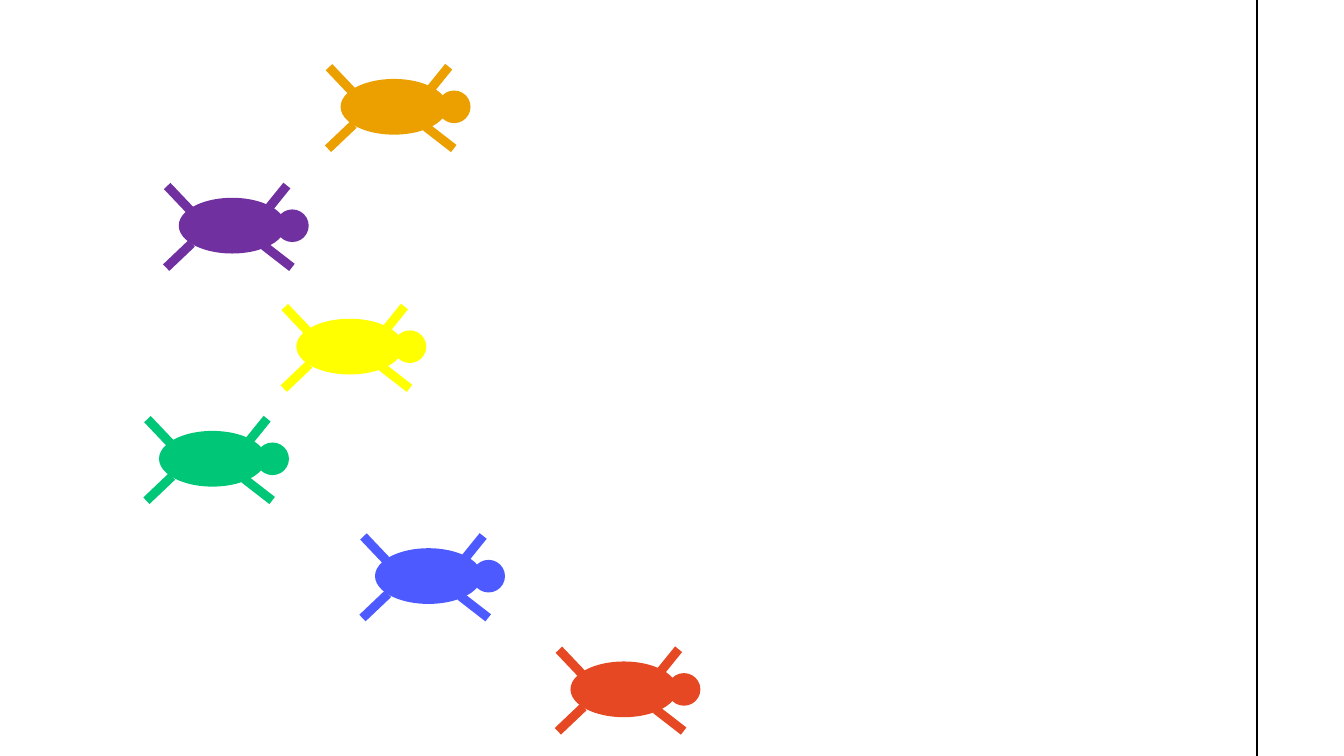
from dataclasses import dataclass

from lxml import etree
from pptx import Presentation
from pptx.dml.color import RGBColor
from pptx.enum.shapes import MSO_CONNECTOR, MSO_SHAPE
from pptx.oxml.ns import qn
from pptx.util import Pt

OVAL, RECT = MSO_SHAPE.OVAL, MSO_SHAPE.RECTANGLE
STRAIGHT = MSO_CONNECTOR.STRAIGHT
SLIDE_W, SLIDE_H = 960, 540


@dataclass(frozen=True)
class Theme:
    orange: str = "EBA000"
    yellow: str = "FFFF00"
    green: str = "00C777"
    purple: str = "7030A0"
    blue: str = "4D5AFF"
    red: str = "E64823"
    line: str = "000000"
    line_width: float = 1.5


THEME = Theme()

# Turtle parts: shape, left, top, width, height, rotation (from the body's corner)
TURTLE_PARTS = [
    (OVAL, 0, 0, 76.3, 39.8, 0),            # body
    (OVAL, 69.3, 8.3, 23.5, 23.3, 0),       # head
    (RECT, -3.3, -11.7, 6.5, 23.8, 316.5),  # upper left leg
    (RECT, -3.1, 28.6, 6.5, 25.2, 226.5),   # lower left leg
    (RECT, 66.5, -11.4, 6.5, 23.8, 39),     # upper right leg
    (RECT, 67.6, 29.4, 6.5, 25.2, 127.8),   # lower right leg
]

# Left and top of each body, and its colour
TURTLES = [
    (243.3, 56.4, THEME.orange),
    (211.7, 227.7, THEME.yellow),
    (113.6, 307.8, THEME.green),
    (127.7, 141.3, THEME.purple),
    (267.9, 391.6, THEME.blue),
    (407.5, 472.5, THEME.red),
]


def add_turtle(s, left, top, color):
    """Group of body, head and legs in one colour."""
    turtle = s.shapes.add_group_shape()
    for kind, x, y, w, h, rotation in TURTLE_PARTS:
        sp = turtle.shapes.add_shape(kind, Pt(left + x), Pt(top + y), Pt(w), Pt(h))
        sp.rotation = rotation
        sp.shadow.inherit = False
        sp.fill.solid()
        sp.fill.fore_color.rgb = RGBColor.from_string(color)
        sp.line.fill.background()


def add_finish_line(s, x, top, height):
    """Vertical line that the turtles race towards."""
    line = s.shapes.add_connector(STRAIGHT, Pt(x), Pt(top), Pt(x), Pt(top + height))
    line.line.color.rgb = RGBColor.from_string(THEME.line)
    line.line.width = Pt(THEME.line_width)
    etree.SubElement(line._element.spPr, qn("a:effectLst"))


def main():
    prs = Presentation()
    prs.slide_width, prs.slide_height = Pt(SLIDE_W), Pt(SLIDE_H)
    s = prs.slides.add_slide(prs.slide_layouts[6])

    for left, top, color in TURTLES:
        add_turtle(s, left, top, color)
    add_finish_line(s, 897.8, 0, SLIDE_H)

    prs.save("out.pptx")


if __name__ == "__main__":
    main()
